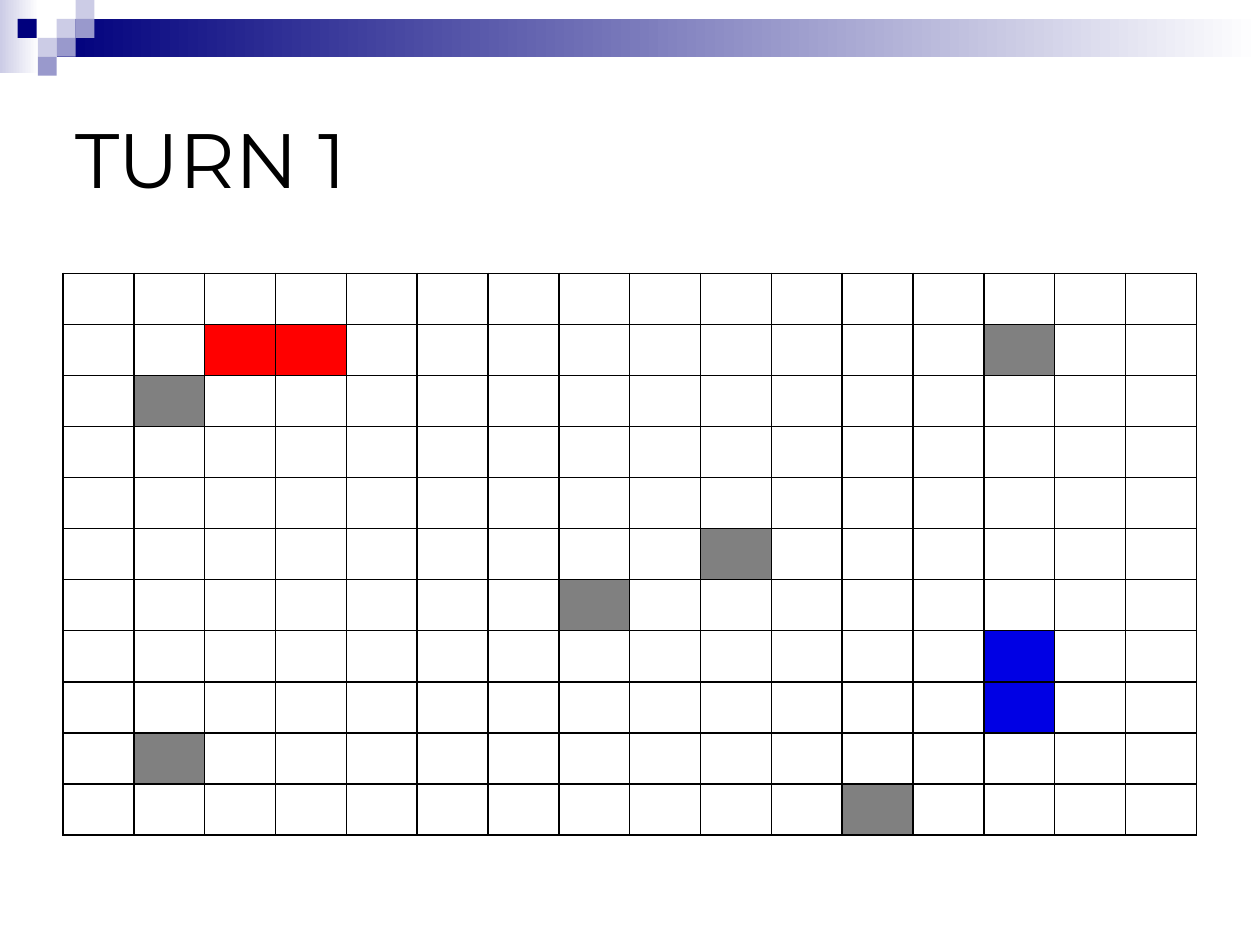
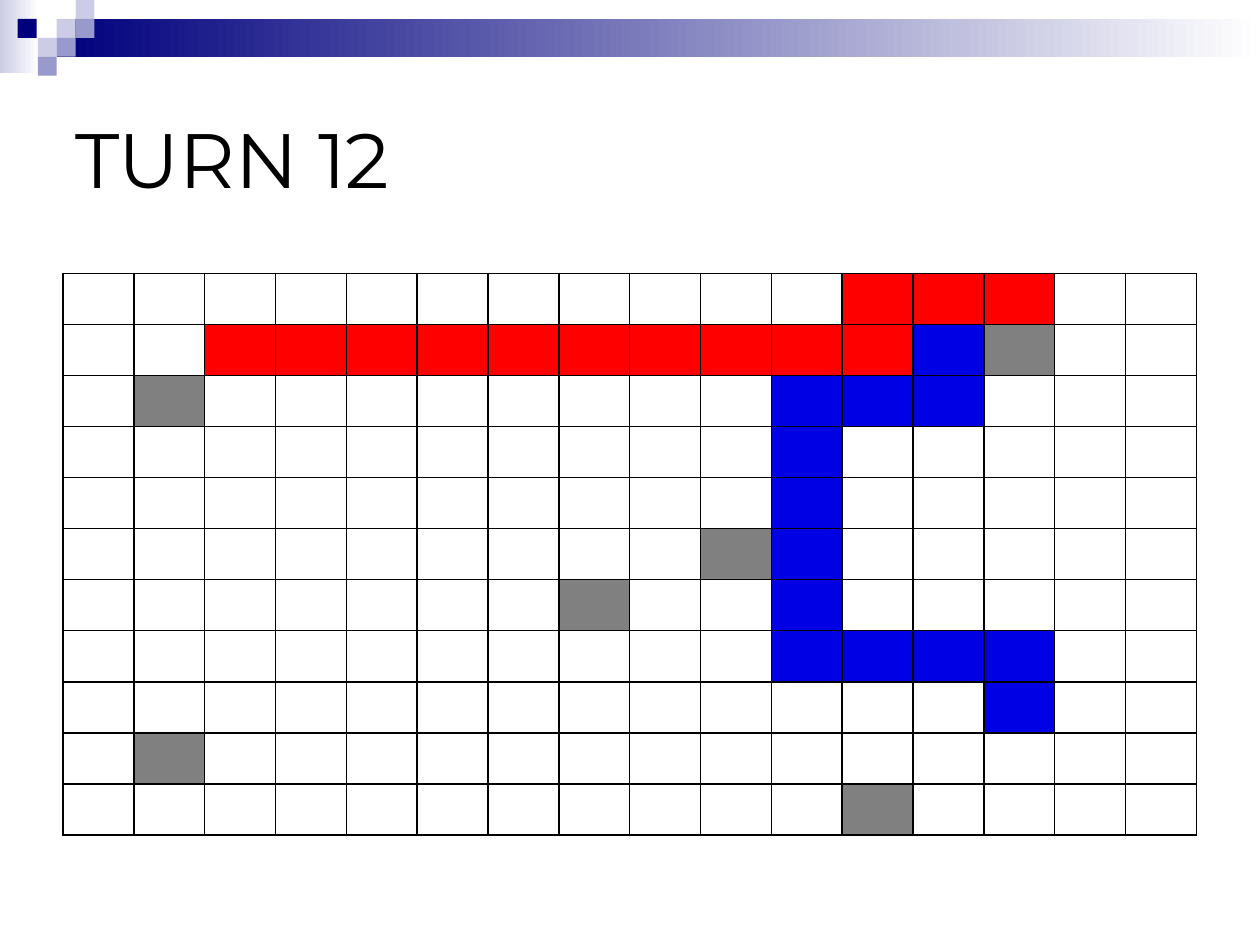
from lxml import etree
from pptx import Presentation
from pptx import util as u
from pptx.dml.color import RGBColor
from pptx.enum import shapes, text
from pptx.oxml import ns

COLORS = {
    "navy": "00007D", "lilac": "9999CC", "pale": "CCCCE6", "white": "FFFFFF",
    "black": "000000", "red": "FF0000", "blue": "0000E4", "gray": "808080",
}
RGB = {name: RGBColor.from_string(value) for name, value in COLORS.items()}
TITLE_FONT = {"name": "Montserrat", "size": u.Pt(44), "bold": False}
TITLE_FRAME = {"vertical_anchor": text.MSO_ANCHOR.MIDDLE, "word_wrap": True}
TITLE_PLACE = {"left": u.Inches(0.5), "top": u.Inches(0.5),
               "width": u.Inches(9), "height": u.Inches(1.5)}

# Left, top, width, height, start colour
GRADIENT_BANDS = [(0, 0, 0.31, 0.58, "pale"), (0.45, 0.15, 9.55, 0.3, "navy")]
SQUARE = 0.15
SQUARES = [
    (0.45, 0.15, "pale"), (0.6, 0, "pale"), (0.6, 0.15, "lilac"),
    (0.3, 0.3, "pale"), (0.14, 0.15, "navy"), (0.45, 0.3, "lilac"),
    (0.3, 0.45, "lilac"),
]

# R and B are the two players' trails, # is an obstacle, . is a free cell
CELL_COLORS = {"R": "red", "B": "blue", "#": "gray"}
TURNS = {
    "TURN 1": [
        "................",
        "..RR.........#..",
        ".#..............",
        "................",
        "................",
        ".........#......",
        ".......#........",
        ".............B..",
        ".............B..",
        ".#..............",
        "...........#....",
    ],
    "TURN 12": [
        "...........RRR..",
        "..RRRRRRRRRRB#..",
        ".#........BBB...",
        "..........B.....",
        "..........B.....",
        ".........#B.....",
        ".......#..B.....",
        "..........BBBB..",
        ".............B..",
        ".#..............",
        "...........#....",
    ],
}


def add_block(page, left, top, width, height):
    block = page.shapes.add_shape(
        shapes.MSO_SHAPE.RECTANGLE, *map(u.Inches, (left, top, width, height)))
    block.shadow.inherit = False
    block.line.fill.background()
    return block


def add_borders(cell):
    properties = cell._tc.get_or_add_tcPr()
    for side in ("lnL", "lnR", "lnT", "lnB"):
        line = etree.SubElement(properties, ns.qn(f"a:{side}"), w=str(u.Pt(1)))
        fill = etree.SubElement(line, ns.qn("a:solidFill"))
        etree.SubElement(fill, ns.qn("a:srgbClr"), val=COLORS["black"])


deck = Presentation()
deck.slide_width, deck.slide_height = u.Inches(10), u.Inches(7.5)
layout = deck.slide_layouts.get_by_name("Title Only")
pages = [deck.slides.add_slide(layout) for _ in TURNS]

# Build the header blocks once, then move them to the shared layout
blocks = []
for *place, color in GRADIENT_BANDS:
    band = add_block(pages[0], *place)
    band.fill.gradient()
    band.fill.gradient_angle = 0
    for stop, name, position in zip(band.fill.gradient_stops, (color, "white"), (0, 1)):
        stop.color.rgb = RGB[name]
        stop.position = position
    blocks.append(band)
for left, top, color in SQUARES:
    square = add_block(pages[0], left, top, SQUARE, SQUARE)
    square.fill.solid()
    square.fill.fore_color.rgb = RGB[color]
    blocks.append(square)
for number, block in enumerate(blocks, start=100):
    block.element.nvSpPr.cNvPr.set("id", str(number))
    layout.shapes.element.append(block.element)

for page, (heading, board) in zip(pages, TURNS.items()):
    title = page.shapes.title
    for name, value in TITLE_PLACE.items():
        setattr(title, name, value)
    for name, value in TITLE_FRAME.items():
        setattr(title.text_frame, name, value)
    title.text_frame.text = heading
    para = title.text_frame.paragraphs[0]
    para.alignment = text.PP_ALIGN.LEFT
    span = para.runs[0]
    for name, value in TITLE_FONT.items():
        setattr(span.font, name, value)
    span.font.color.rgb = RGB["black"]

    grid = page.shapes.add_table(
        len(board), len(board[0]),
        u.Inches(0.5), u.Inches(2.17), u.Inches(9), u.Inches(4.46)).table
    grid.first_row = grid.horz_banding = False
    for row, marks in enumerate(board):
        for column, mark in enumerate(marks):
            cell = grid.cell(row, column)
            cell.margin_top = cell.margin_bottom = u.Inches(0.02)
            add_borders(cell)
            if mark in CELL_COLORS:
                cell.fill.solid()
                cell.fill.fore_color.rgb = RGB[CELL_COLORS[mark]]
            else:
                cell.fill.background()

deck.save("out.pptx")
